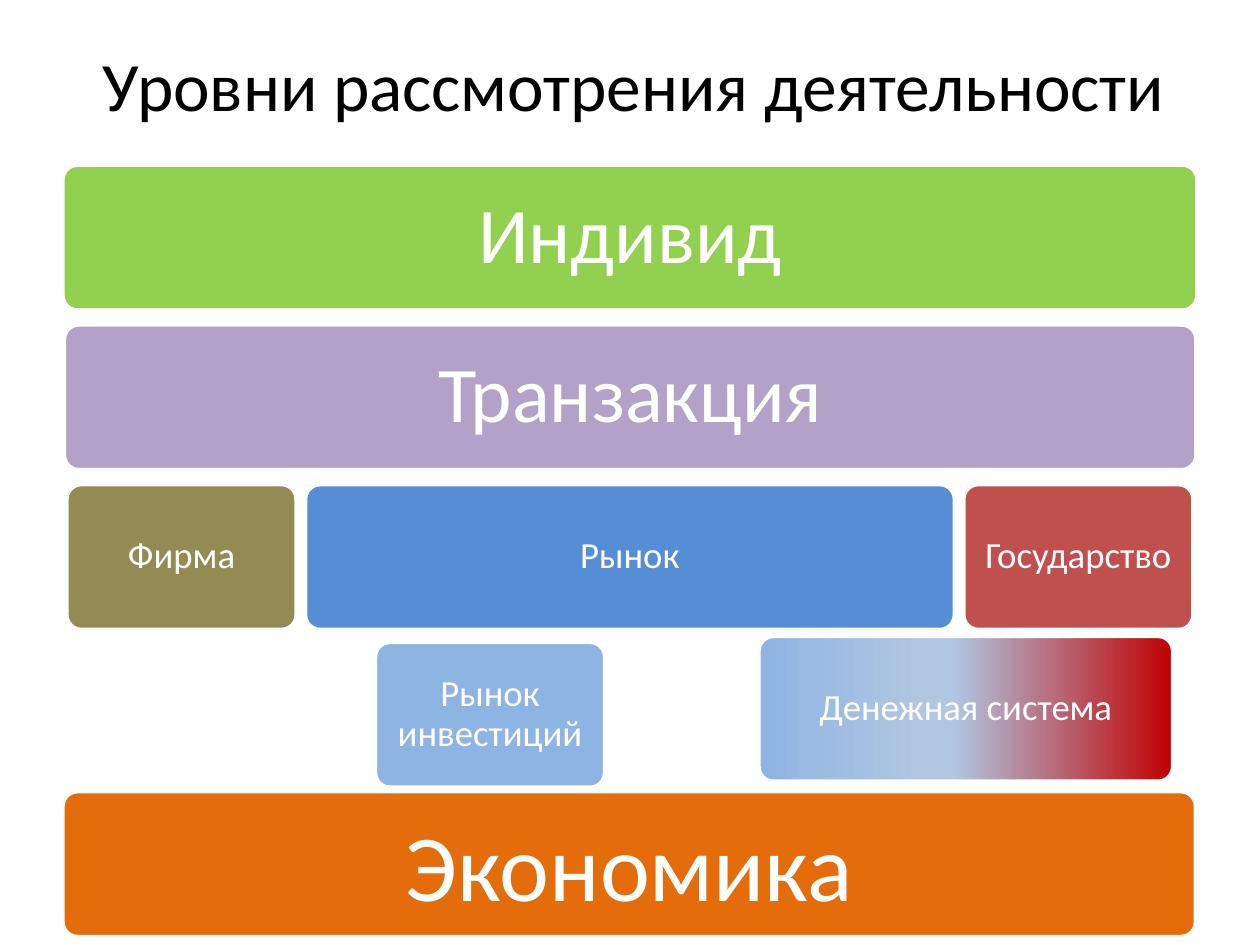
from lxml import etree
from pptx import Presentation
from pptx import util as u
from pptx.dml.color import RGBColor
from pptx.enum import shapes, text
from pptx.oxml.ns import qn

FONT = "Calibri"
WHITE = "FFFFFF"
BLOCK_H = 2.92
TOP, PITCH = 3.33, 3.22  # first row and step between rows
MONEY_STOPS = [(0, "8EB4E3"), (39, "B0C6E1"), (47, "B0C6E1"), (100, "C00000")]


def rgb(color):
    return RGBColor.from_string(color)


def format_text(tf, size, color, spacing=1.0):
    tf.word_wrap = True
    tf.vertical_anchor = text.MSO_ANCHOR.MIDDLE
    p = tf.paragraphs[0]
    p.alignment = text.PP_ALIGN.CENTER
    p.line_spacing = spacing
    for r in p.runs:
        r.font.name = FONT
        r.font.size = u.Pt(size)
        r.font.color.rgb = rgb(color)


def fill_gradient(sp, stops):
    sp.fill.gradient()
    sp.fill.gradient_angle = 0
    stop_list = sp._element.spPr.find(qn("a:gradFill")).find(qn("a:gsLst"))
    for old in list(stop_list):
        stop_list.remove(old)
    for percent, color in stops:
        gs = etree.SubElement(stop_list, qn("a:gs"), pos=str(percent * 1000))
        etree.SubElement(gs, qn("a:srgbClr"), val=color)


def add_block(s, label, left, top, width, fill, size=21, inset=0.23, spacing=0.9):
    sp = s.shapes.add_shape(shapes.MSO_SHAPE.ROUNDED_RECTANGLE,
                            u.Cm(left), u.Cm(top), u.Cm(width), u.Cm(BLOCK_H))
    sp.adjustments[0] = 0.1
    sp.shadow.inherit = False
    if isinstance(fill, list):
        fill_gradient(sp, fill)
    else:
        sp.fill.solid()
        sp.fill.fore_color.rgb = rgb(fill)
    sp.line.color.rgb = rgb(WHITE)
    sp.line.width = u.Pt(2)
    tf = sp.text_frame
    tf.margin_left = tf.margin_right = tf.margin_top = tf.margin_bottom = u.Cm(inset)
    tf.text = label
    format_text(tf, size, WHITE, spacing)


def add_title(s, label):
    sp = s.shapes.title
    sp.left, sp.top, sp.width, sp.height = u.Cm(1.35), u.Cm(0.1), u.Cm(22.86), u.Cm(3.18)
    sp.text_frame.text = label
    format_text(sp.text_frame, 39.6, "000000")


def add_row(s, left, top, gap, blocks):
    for label, width, fill in blocks:
        add_block(s, label, left, top, width, fill)
        left += width + gap


def main():
    prs = Presentation()
    prs.slide_width, prs.slide_height = u.Cm(25.4), u.Cm(19.05)
    s = prs.slides.add_slide(prs.slide_layouts[5])
    add_title(s, "Уровни рассмотрения деятельности")

    # Full-width levels
    add_block(s, "Индивид", 1.27, TOP, 22.86, "92D050", 45, 0.48)
    add_block(s, "Транзакция", 1.3, TOP + PITCH, 22.81, "B3A2C7", 45, 0.48)

    # Institutions
    add_row(s, 1.35, TOP + 2 * PITCH, 0.19, [
        ("Фирма", 4.62, "948A54"),
        ("Рынок", 13.08, "558ED5"),
        ("Государство", 4.62, "C0504D"),
    ])

    # Parts of the market
    add_block(s, "Денежная система", 15.3, 12.83, 8.34, MONEY_STOPS)
    add_block(s, "Рынок инвестиций", 7.57, 12.95, 4.62, "8EB4E3")

    # Whole economy
    add_block(s, "Экономика", 1.27, 15.96, 22.83, "E46C0A", 54, 0.13, 1.0)
    prs.save("out.pptx")


if __name__ == "__main__":
    main()
